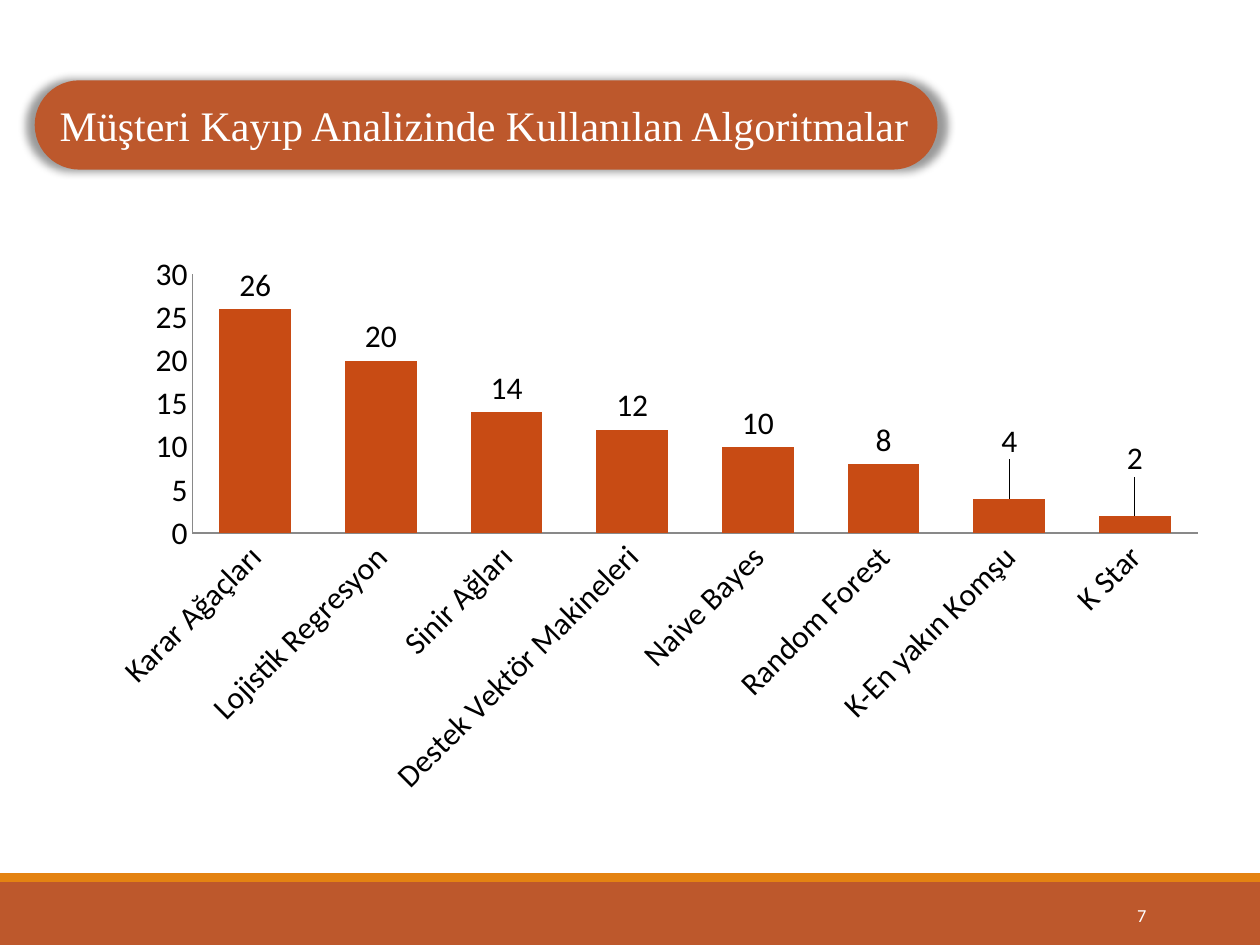
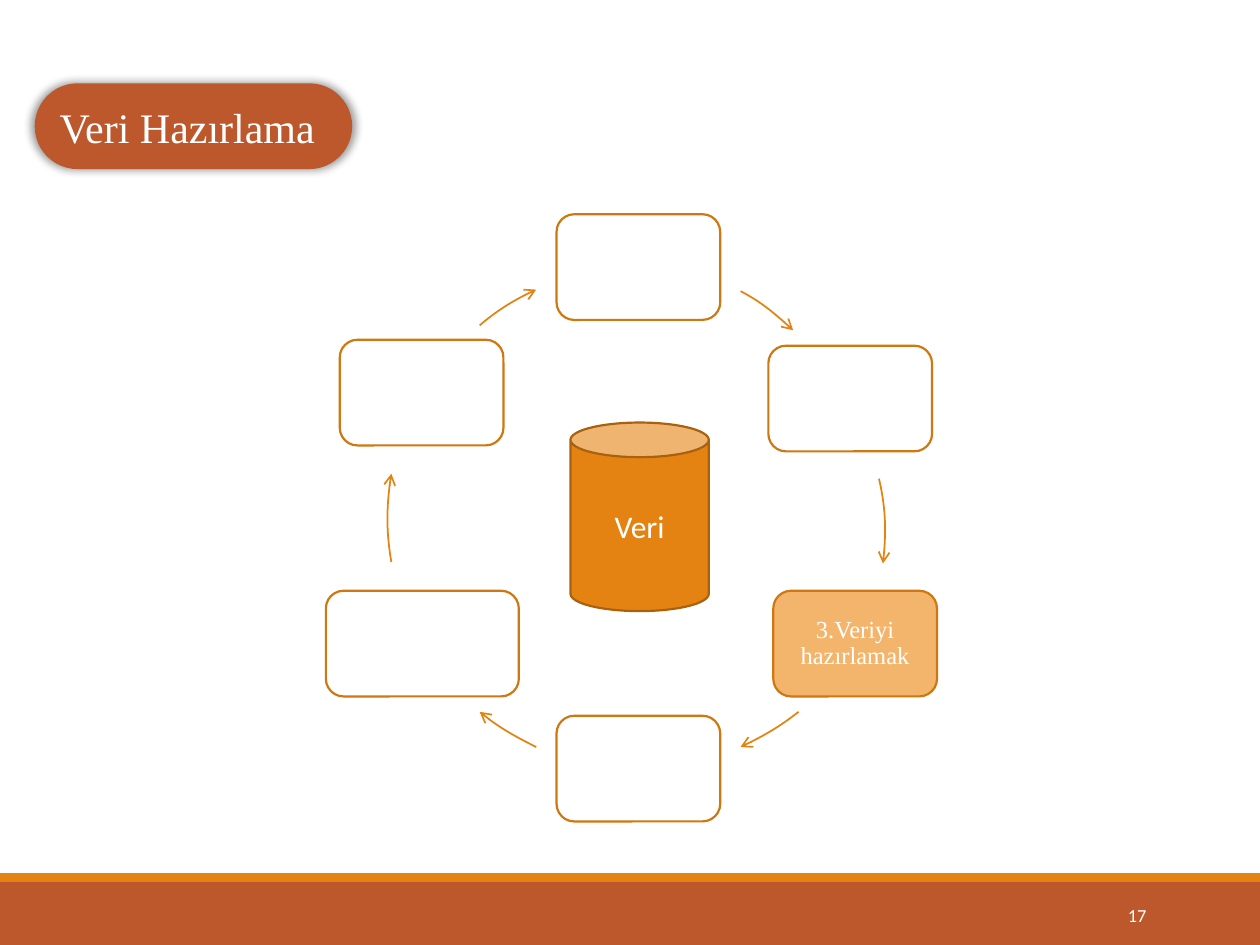
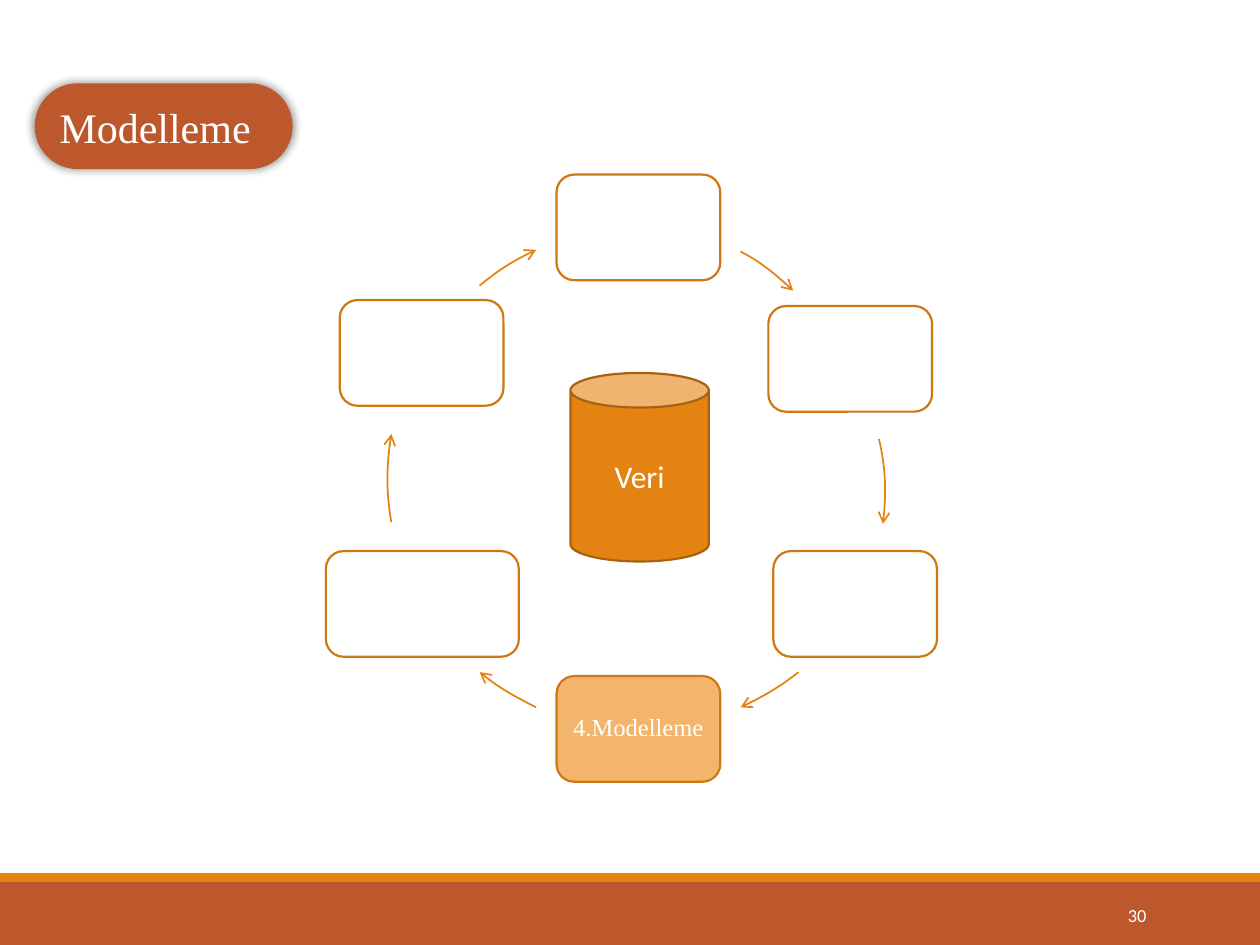
from pptx import Presentation
from pptx.chart.data import CategoryChartData
from pptx.dml.color import RGBColor
from pptx.enum.chart import XL_CHART_TYPE as ChartType
from pptx.enum.chart import XL_LABEL_POSITION as LabelPosition
from pptx.enum.chart import XL_TICK_MARK as TickMark
from pptx.enum.shapes import MSO_SHAPE as Preset
from pptx.enum.text import MSO_ANCHOR as Anchor
from pptx.enum.text import MSO_AUTO_SIZE as AutoSize
from pptx.enum.text import PP_ALIGN as Align
from pptx.oxml import parse_xml
from pptx.oxml.ns import nsdecls, qn
from pptx.util import Cm, Pt

COLORS = {
    "rust": "BD582C",
    "orange": "E48312",
    "step_edge": "CF7710",
    "active_step": "F3B56C",
    "can_edge": "A9610D",
    "bar": "C84B14",
    "axis": "898989",
    "white": "FFFFFF",
    "black": "000000",
}
SANS, SERIF = "Calibri", "Times New Roman"
TITLE_ONLY = 5

ALGORITHM_COUNTS = {
    "Karar Ağaçları": 26,
    "Lojistik Regresyon": 20,
    "Sinir Ağları": 14,
    "Destek Vektör Makineleri": 12,
    "Naive Bayes": 10,
    "Random Forest": 8,
    "K-En yakın Komşu": 4,
    "K Star": 2,
}

# Clockwise from the top, in cm from the corner of the cycle: left, top, width
STEPS = [
    (4.65, 0, 3.3),
    (8.92, 2.65, 3.3),
    (9.02, 7.59, 3.3),
    (4.65, 10.11, 3.3),
    (0, 7.59, 3.89),
    (0.28, 2.53, 3.3),
]
STEP_HEIGHT = 2.13
# The curve that leaves each step: corner of its ring, then control points
RING = (1.24, 1.09)
RING_SIZE = 10.11
ARROWS = [
    ((0.89, 0.94), [(8.36, 1.55), (8.74, 1.75), (9.09, 2.03), (9.42, 2.34)]),
    ((1.17, 1.37), [(11.15, 5.33), (11.28, 5.89), (11.3, 6.48), (11.23, 7.04)]),
    (RING, [(9.53, 10.03), (9.17, 10.31), (8.79, 10.54), (8.36, 10.74)]),
    (RING, [(4.24, 10.74), (3.84, 10.54), (3.43, 10.31), (3.1, 10.03)]),
    (RING, [(1.32, 7.01), (1.22, 6.43), (1.22, 5.82), (1.32, 5.23)]),
    (RING, [(3.1, 2.24), (3.43, 1.96), (3.84, 1.7), (4.24, 1.52)]),
]


def rgb(name):
    return RGBColor.from_string(COLORS[name])


def paint(shape, fill=None, edge=None, width=1.25):
    shape.shadow.inherit = False
    if fill:
        shape.fill.solid()
        shape.fill.fore_color.rgb = rgb(fill)
    else:
        shape.fill.background()
    if edge:
        shape.line.color.rgb = rgb(edge)
        shape.line.width = Pt(width)
    else:
        shape.line.fill.background()


def add_block(slide, preset, box, fill, edge=None):
    block = slide.shapes.add_shape(preset, *(Cm(length) for length in box))
    paint(block, fill, edge)
    return block


def write(shape, text, size, font=SANS, align=Align.CENTER, inset=0.25):
    frame = shape.text_frame
    frame.word_wrap = True
    frame.auto_size = AutoSize.NONE
    frame.vertical_anchor = Anchor.MIDDLE
    frame.margin_left = frame.margin_right = Cm(inset)
    frame.margin_top = frame.margin_bottom = Cm(0.13)
    paragraph = frame.paragraphs[0]
    paragraph.alignment = align
    run = paragraph.add_run()
    run.text = text
    run.font.size = Pt(size)
    run.font.name = font
    run.font.color.rgb = rgb("white")
    return paragraph


def move_bands_to_layout(slide):
    """Draw the two footer bands and hand them to the layout of the slide."""
    bands = [("rust", 17.78, 1.27), ("orange", 17.6, 0.18)]
    for number, (color, top, height) in enumerate(bands):
        band = add_block(slide, Preset.RECTANGLE, (0, top, 25.4, height), color)
        band.element.nvSpPr.cNvPr.id = 100 + number
        slide.slide_layout.shapes.element.insert(2 + number, band.element)


def add_title(slide, text, top, width, height):
    box = (0.7, top, width, height)
    pill = add_block(slide, Preset.ROUNDED_RECTANGLE, box, "rust")
    pill.adjustments[0] = 0.5
    pill.element.spPr.find(qn("a:effectLst")).append(parse_xml(
        f'<a:outerShdw {nsdecls("a")} blurRad="63500" dist="0" dir="0"'
        ' sx="102000" sy="102000" algn="ctr">'
        f'<a:srgbClr val="{COLORS["black"]}"><a:alpha val="40000"/></a:srgbClr>'
        "</a:outerShdw>"))
    title = slide.shapes.title
    title.left, title.top, title.width, title.height = (Cm(n) for n in box)
    slide.shapes.element.append(title.element)
    write(title, text, 24, SERIF, Align.LEFT, inset=0.5)
    title.text_frame.word_wrap = False


def add_page_number(slide, number):
    page = slide.shapes.add_textbox(Cm(20.62), Cm(17.93), Cm(2.74), Cm(1.02))
    write(page, str(number), 10.5, align=Align.RIGHT)


def style_axis(axis):
    axis.has_major_gridlines = False
    axis.major_tick_mark = axis.minor_tick_mark = TickMark.NONE
    axis.format.line.color.rgb = rgb("axis")
    axis.tick_labels.font.size = Pt(18)


def raise_label(labels, point):
    """Lift the value of a short bar further above it."""
    point.data_label.font.size = Pt(18)
    point.data_label.position = LabelPosition.OUTSIDE_END
    newest = labels.findall(qn("c:dLbl"))[-1]
    newest.insert(1, parse_xml(
        f'<c:layout {nsdecls("c")}><c:manualLayout><c:x val="0"/>'
        '<c:y val="-0.06"/></c:manualLayout></c:layout>'))


def hide_leader_lines(labels):
    labels.append(parse_xml(
        f'<c:extLst {nsdecls("c")}>'
        '<c:ext uri="{CE6537A1-D6FC-4f65-9D91-7224C49458BB}"'
        ' xmlns:c15="http://schemas.microsoft.com/office/drawing/2012/chart">'
        '<c15:showLeaderLines val="0"/></c:ext></c:extLst>'))


def add_algorithm_chart(slide, box):
    counts = CategoryChartData()
    counts.categories = ALGORITHM_COUNTS.keys()
    counts.add_series("Series 1", ALGORITHM_COUNTS.values())
    chart = slide.shapes.add_chart(
        ChartType.COLUMN_CLUSTERED, *(Cm(n) for n in box), counts).chart
    chart.has_legend = chart.has_title = False
    chart.font.name = SANS
    chart.font.size = Pt(18)
    chart.font.color.rgb = rgb("black")

    for axis in (chart.category_axis, chart.value_axis):
        style_axis(axis)
    label_text = chart.category_axis._element.find(qn("c:txPr"))
    label_text.find(qn("a:bodyPr")).set("rot", "-2700000")
    chart.value_axis.minimum_scale = 0
    chart.value_axis.maximum_scale = 30
    chart.value_axis.major_unit = 5

    plot = chart.plots[0]
    plot.gap_width = 75
    plot.vary_by_categories = False
    bars = plot.series[0]
    bars.format.fill.solid()
    bars.format.fill.fore_color.rgb = rgb("bar")
    bars.data_labels.show_value = True
    bars.data_labels.position = LabelPosition.OUTSIDE_END
    bars.data_labels.font.size = Pt(18)
    labels = bars.data_labels._element
    for index in (6, 7):
        raise_label(labels, bars.points[index])
    hide_leader_lines(labels)


def add_curved_arrow(slide, left, top, ring, controls):
    """Draw one Bézier curve of the ring, in a frame the size of the ring."""
    x, y = left + ring[0], top + ring[1]
    builder = slide.shapes.build_freeform(Cm(x), Cm(y))
    builder.add_line_segments(
        [(Cm(x + RING_SIZE), Cm(y + RING_SIZE))], close=False)
    arrow = builder.convert_to_shape()
    paint(arrow, edge="orange", width=1)

    start, *rest = (
        f'<a:pt x="{Cm(px - ring[0])}" y="{Cm(py - ring[1])}"/>'
        for px, py in controls)
    outline = arrow.element.spPr.find(".//" + qn("a:path"))
    for segment in list(outline):
        outline.remove(segment)
    outline.append(parse_xml(f'<a:moveTo {nsdecls("a")}>{start}</a:moveTo>'))
    outline.append(parse_xml(
        f'<a:cubicBezTo {nsdecls("a")}>{"".join(rest)}</a:cubicBezTo>'))
    arrow.element.spPr.find(qn("a:ln")).append(
        parse_xml(f'<a:tailEnd {nsdecls("a")} type="arrow"/>'))


def add_cycle(slide, left, top, can_top, active, label):
    """Draw the six steps around the data; only the active one is labelled."""
    for index, (x, y, width) in enumerate(STEPS):
        box = (left + x, top + y, width, STEP_HEIGHT)
        fill = "active_step" if index == active else "white"
        step = add_block(slide, Preset.ROUNDED_RECTANGLE, box, fill, "step_edge")
        if index == active:
            write(step, label, 14, SERIF, inset=0.15).line_spacing = 0.9
    for ring, controls in ARROWS:
        add_curved_arrow(slide, left, top, ring, controls)
    can_box = (left + 4.93, top + can_top, 2.79, 3.8)
    can = add_block(slide, Preset.CAN, can_box, "orange", "can_edge")
    write(can, "Veri", 18)


def main():
    deck = Presentation()
    deck.slide_width, deck.slide_height = Cm(25.4), Cm(19.05)
    layout = deck.slide_layouts[TITLE_ONLY]

    algorithms = deck.slides.add_slide(layout)
    move_bands_to_layout(algorithms)
    add_algorithm_chart(algorithms, (1.89, 4.92, 22.71, 11.33))
    add_page_number(algorithms, 7)
    add_title(algorithms, "Müşteri Kayıp Analizinde Kullanılan Algoritmalar",
              1.62, 18.2, 1.8)

    phases = [
        ("Veri Hazırlama", 6.4, 17, 4.32, 4.2, 2, "3.Veriyi hazırlamak"),
        ("Modelleme", 5.2, 30, 3.52, 4, 3, "4.Modelleme"),
    ]
    for title, width, number, top, can_top, active, label in phases:
        phase = deck.slides.add_slide(layout)
        add_cycle(phase, 6.57, top, can_top, active, label)
        add_page_number(phase, number)
        add_title(phase, title, 1.68, width, 1.73)

    deck.save("out.pptx")


if __name__ == "__main__":
    main()
